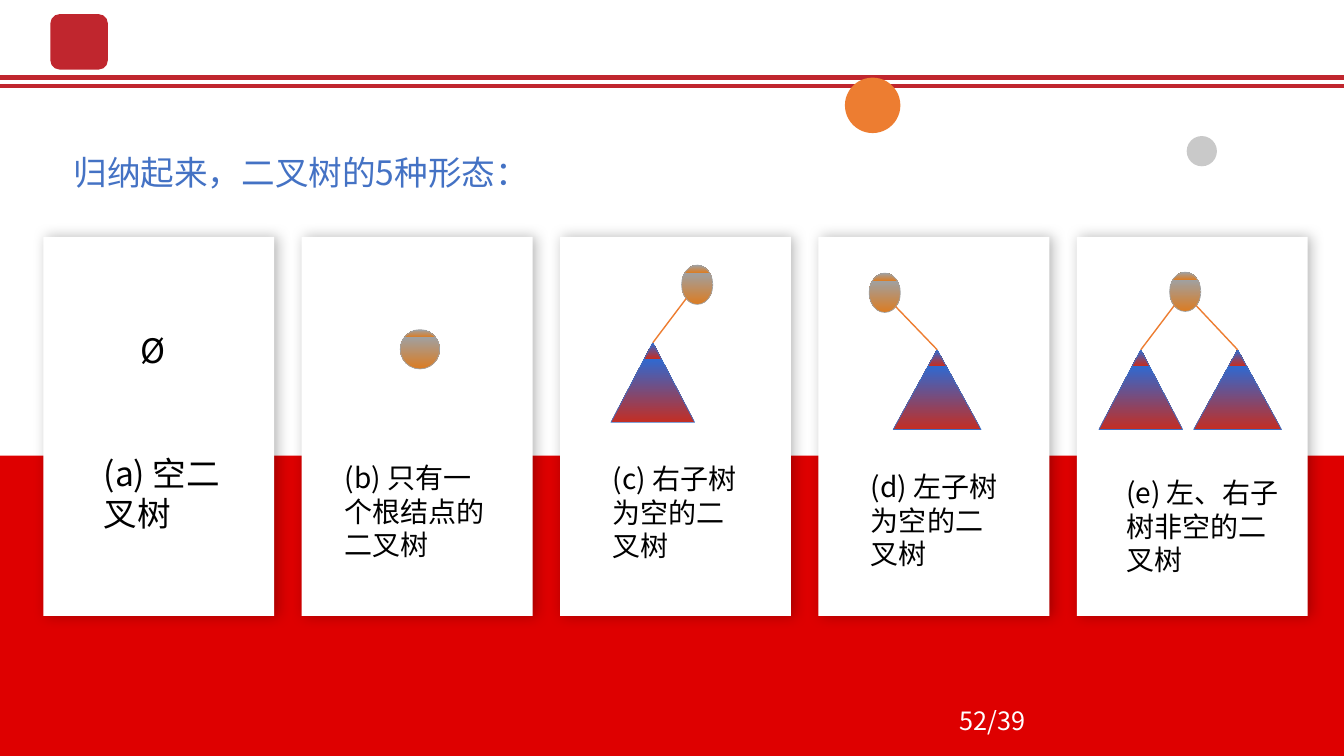
from dataclasses import dataclass

from lxml import etree
from pptx import Presentation
from pptx.dml.color import RGBColor
from pptx.enum.shapes import MSO_CONNECTOR, MSO_SHAPE
from pptx.enum.text import MSO_AUTO_SIZE
from pptx.oxml import parse_xml
from pptx.oxml.ns import nsdecls, qn
from pptx.util import Inches, Pt

RECT, OVAL = MSO_SHAPE.RECTANGLE, MSO_SHAPE.OVAL
ROUNDED, TRIANGLE = MSO_SHAPE.ROUNDED_RECTANGLE, MSO_SHAPE.ISOSCELES_TRIANGLE
STRAIGHT = MSO_CONNECTOR.STRAIGHT
GROW, FIXED = MSO_AUTO_SIZE.SHAPE_TO_FIT_TEXT, MSO_AUTO_SIZE.NONE

FONT = "Noto Sans CJK SC"
WIDTH, HEIGHT = 13.33, 7.5
CARD_LEFT, CARD_TOP, CARD_W, CARD_H = 0.43, 2.35, 2.29, 3.76
CARD_PITCH = (10.68 - CARD_LEFT) / 4
NODE_H, TREE_H = 0.39, 0.79
DIAGONAL = 0.5 ** 0.5

Box = tuple[float, float, float, float]


@dataclass(frozen=True)
class Gradient:
    """Upward bands that run from the base colour to each tint."""
    base: str
    tints: tuple[str, str, str]
    line: str


@dataclass(frozen=True)
class Card:
    caption: str
    box: Box
    size: int = 20
    node: tuple[float, float, float] | None = None  # left, top, width
    trees: tuple[tuple[float, float, float], ...] = ()


NODE = Gradient("DB7C23", ("7B7B7B", "A0A0A0", "A1A1A1"), "A1A1A1")
TREE = Gradient("C32E24", ("2451A1", "2F69D1", "2C69D5"), "3F6FC3")

CARDS = [
    Card("(a) 空二叉树", (0.93, 4.44, 1.4, 0.91), size=24),
    Card("(b) 只有一个根结点的二叉树", (3.32, 4.52, 1.64, 0.97), node=(3.97, 3.27, 0.39)),
    Card("(c) 右子树为空的二叉树", (5.98, 4.53, 1.56, 1.11),
         node=(6.76, 2.63, 0.31), trees=((6.06, 3.4, 0.83),)),
    Card("(d) 左子树为空的二叉树", (8.54, 4.61, 1.56, 1.11),
         node=(8.62, 2.71, 0.31), trees=((8.86, 3.47, 0.87),)),
    Card("(e) 左、右子树非空的二叉树", (11.07, 4.67, 1.8, 1.11),
         node=(11.6, 2.7, 0.31), trees=((10.9, 3.47, 0.83), (11.84, 3.47, 0.87))),
]


def rgb(color: str) -> RGBColor:
    return RGBColor.from_string(color)


def add_shape(shapes, kind, box: Box, fill: str | Gradient):
    sp = shapes.add_shape(kind, *map(Inches, box))
    sp.shadow.inherit = False
    if isinstance(fill, Gradient):
        set_gradient(sp, fill)
        sp.line.color.rgb = rgb(fill.line)
        sp.line.width = Pt(0.5)
    else:
        sp.fill.solid()
        sp.fill.fore_color.rgb = rgb(fill)
        sp.line.fill.background()
    return sp


def set_gradient(sp, gradient: Gradient) -> None:
    stops = "".join(
        f'<a:gs pos="{pos}000"><a:srgbClr val="{color}"/></a:gs>'
        for pos, tint in zip((0, 80, 100), gradient.tints)
        for color in (tint, gradient.base))
    fill = parse_xml(
        f'<a:gradFill {nsdecls("a")} rotWithShape="1"><a:gsLst>{stops}</a:gsLst>'
        '<a:lin ang="16200000" scaled="0"/></a:gradFill>')
    sp._element.spPr.find(qn("a:prstGeom")).addnext(fill)


def add_card_shadow(sp) -> None:
    shadow = parse_xml(
        f'<a:outerShdw {nsdecls("a")} blurRad="{Pt(10)}" dist="{Pt(2)}" dir="0" '
        'algn="ctr" rotWithShape="0"><a:srgbClr val="000000">'
        '<a:alpha val="28000"/></a:srgbClr></a:outerShdw>')
    sp._element.spPr.find(qn("a:effectLst")).append(shadow)


def add_line(shapes, start: tuple[float, float], end: tuple[float, float],
             color: str, width: float):
    line = shapes.add_connector(STRAIGHT, *map(Inches, start + end))
    line.line.color.rgb = rgb(color)
    line.line.width = Pt(width)
    etree.SubElement(line._element.spPr, qn("a:effectLst"))
    return line


def add_text(shapes, text: str, box: Box, *, size: int, color: str = "000000",
             spacing: float | None = None, auto_size=GROW) -> None:
    tf = shapes.add_textbox(*map(Inches, box)).text_frame
    tf.word_wrap = True
    tf.auto_size = auto_size
    p = tf.paragraphs[0]
    p.line_spacing = spacing
    r = p.add_run()
    r.text = text
    r.font.size = Pt(size)
    r.font.color.rgb = rgb(color)
    r.font.name = FONT
    etree.SubElement(r._r.get_or_add_rPr(), qn("a:ea"), typeface=FONT)


def add_card(s, left: float, card: Card) -> None:
    shapes = s.shapes.add_group_shape().shapes
    add_card_shadow(add_shape(shapes, RECT, (left, CARD_TOP, CARD_W, CARD_H), "FFFFFF"))
    if card.node:
        x, y, w = card.node
        add_shape(shapes, OVAL, (x, y, w, NODE_H), NODE)
        for tree_x, tree_y, tree_w in card.trees:
            tree = add_shape(shapes, TRIANGLE, (tree_x, tree_y, tree_w, TREE_H), TREE)
            apex = (tree_x + tree_w / 2, tree_y)
            side = 1 if apex[0] > x + w / 2 else -1
            start = (x + w / 2 * (1 + side * DIAGONAL), y + NODE_H / 2 * (1 + DIAGONAL))
            add_line(shapes, start, apex, "ED7D31", 1).end_connect(tree, 0)
    else:
        add_text(shapes, "Ø", (1.3, 3.22, 0.63, 0.42), size=24)
    add_text(shapes, card.caption, card.box, size=card.size)


def main() -> None:
    prs = Presentation()
    prs.slide_width, prs.slide_height = Inches(WIDTH), Inches(HEIGHT)
    s = prs.slides.add_slide(prs.slide_layouts[6])

    for y in (0.77, 0.85):
        add_line(s.shapes, (0, y), (WIDTH, y), "C0262E", 3)
    add_shape(s.shapes, ROUNDED, (0.5, 0.14, 0.57, 0.55), "C0262E")
    add_shape(s.shapes, RECT, (0, 4.52, WIDTH, 3.03), "DE0000")
    add_text(s.shapes, "归纳起来，二叉树的5种形态：", (0.63, 1.26, 4.65, 0.71),
             size=24, color="4472C4", spacing=1.5)
    add_text(s.shapes, "52/39", (9.42, 6.95, 3, 0.4),
             size=18, color="FFFFFF", auto_size=FIXED)
    for i, card in enumerate(CARDS):
        add_card(s, CARD_LEFT + i * CARD_PITCH, card)
    add_shape(s.shapes, OVAL, (8.38, 0.77, 0.55, 0.55), "ED7D31")
    add_shape(s.shapes, OVAL, (11.77, 1.35, 0.3, 0.3), "C9C9C9")

    prs.save("out.pptx")


if __name__ == "__main__":
    main()
